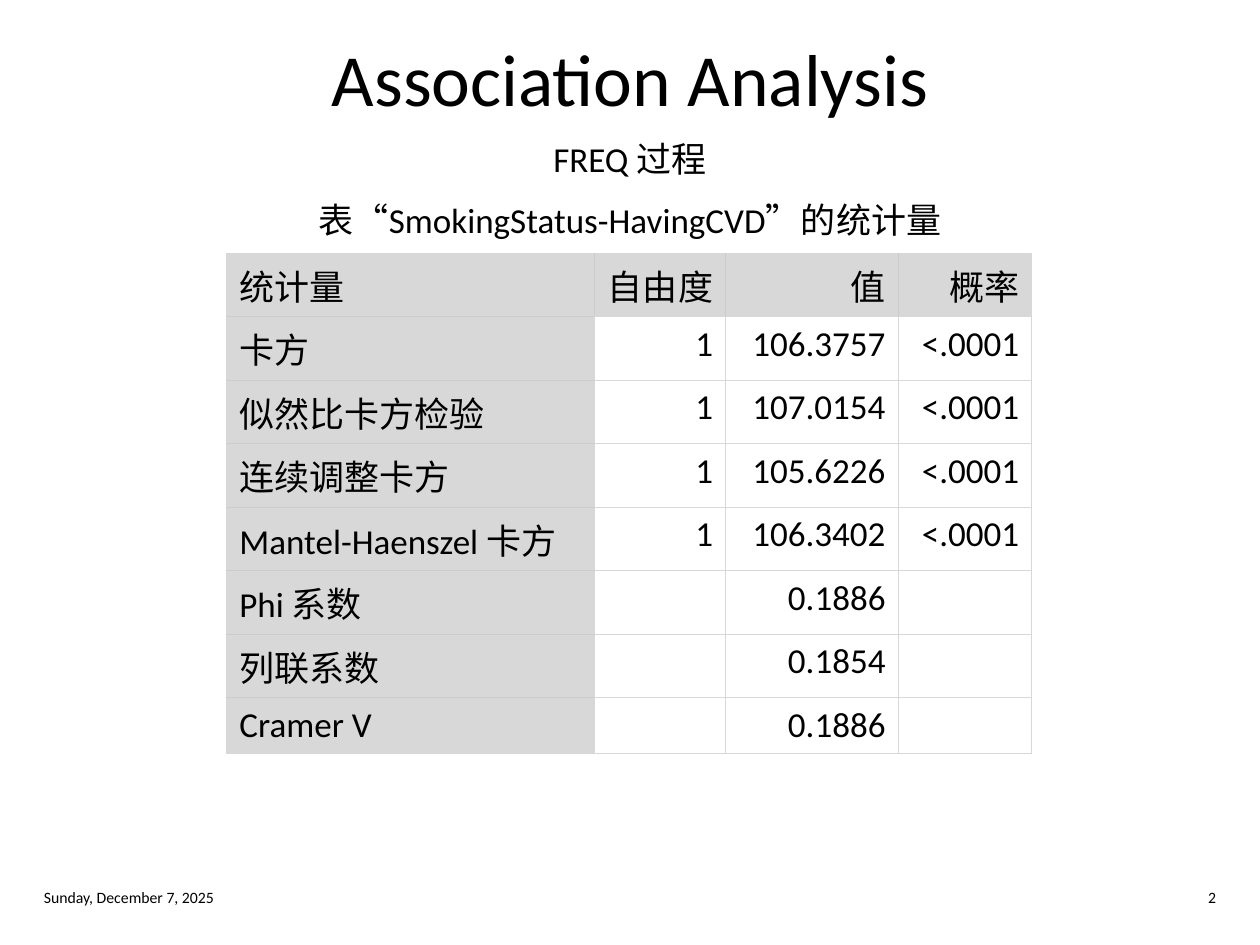
import pptx
import pptx.util
import pptx.dml.color
import pptx.enum.text
import pptx.oxml
import pptx.oxml.ns

Inches = pptx.util.Inches
Align = pptx.enum.text.PP_ALIGN
Anchor = pptx.enum.text.MSO_ANCHOR

THEME = {
    "font": "Calibri", "text": "000000", "shade": "D8D8D8",
    "shade_edge": "CCCCCC", "body_edge": "D8D8D8", "edge_width": 0.5,
    "title": 42, "body": 20, "footer": 9,
}
WIDTH, HEIGHT = 10, 7.5
MARGIN = WIDTH * 0.025
FULL = WIDTH - 2 * MARGIN
FOOTER_WIDTH, FOOTER_TOP = 2.38, 6.99
SUBTITLE_WIDTH = 5.56

TEXTS = [
    ("Association Analysis", (MARGIN, 0.25, FULL, 0.72), "title", Align.CENTER, Anchor.MIDDLE),
    ("FREQ 过程", (MARGIN, 1.04, FULL, 0.42), "body", Align.CENTER, Anchor.TOP),
    ("表“SmokingStatus-HavingCVD”的统计量",
     ((WIDTH - SUBTITLE_WIDTH) / 2, 1.53, SUBTITLE_WIDTH, 0.42), "body", Align.CENTER, Anchor.TOP),
    ("Sunday, December 7, 2025",
     (MARGIN, FOOTER_TOP, FOOTER_WIDTH, 0.26), "footer", Align.LEFT, Anchor.MIDDLE),
    ("2", (WIDTH - MARGIN - FOOTER_WIDTH, FOOTER_TOP, FOOTER_WIDTH, 0.26),
     "footer", Align.RIGHT, Anchor.MIDDLE),
]
STATISTICS = [
    ("统计量", "自由度", "值", "概率"),
    ("卡方", "1", "106.3757", "<.0001"),
    ("似然比卡方检验", "1", "107.0154", "<.0001"),
    ("连续调整卡方", "1", "105.6226", "<.0001"),
    ("Mantel-Haenszel 卡方", "1", "106.3402", "<.0001"),
    ("Phi 系数", "", "0.1886", ""),
    ("列联系数", "", "0.1854", ""),
    ("Cramer V", "", "0.1886", ""),
]
COLUMNS = [2.92, 1.04, 1.37, 1.06]
TABLE_LEFT, TABLE_TOP = 1.8, 2.01
LAST_ROW = 0.44
TALL_ROW = 3.53 / (len(STATISTICS) - 1)
ROWS = [TALL_ROW] * (len(STATISTICS) - 1) + [LAST_ROW]
SIDES = {"lnL": (0, -1), "lnR": (0, 1), "lnT": (-1, 0), "lnB": (1, 0)}


def write(frame, text, size, align):
    frame.text = text
    para = frame.paragraphs[0]
    para.alignment = align
    for span in para.runs:
        span.font.name = THEME["font"]
        span.font.size = pptx.util.Pt(THEME[size])
        span.font.color.rgb = pptx.dml.color.RGBColor.from_string(THEME["text"])


def add_text(page, text, area, size, align, anchor):
    box = page.shapes.add_textbox(*map(Inches, area))
    box.text_frame.word_wrap = True
    box.text_frame.vertical_anchor = anchor
    write(box.text_frame, text, size, align)


def add_edge(cell, side, color):
    width = pptx.util.Pt(THEME["edge_width"])
    cell._tc.get_or_add_tcPr().append(pptx.oxml.parse_xml(
        f'<a:{side} {pptx.oxml.ns.nsdecls("a")} w="{width}"><a:solidFill>'
        f'<a:srgbClr val="{color}"/></a:solidFill></a:{side}>'))


def add_statistics(page):
    table = page.shapes.add_table(
        len(ROWS), len(COLUMNS), Inches(TABLE_LEFT), Inches(TABLE_TOP),
        Inches(sum(COLUMNS)), Inches(sum(ROWS))).table
    table.first_row = table.horz_banding = False
    for column, width in zip(table.columns, COLUMNS):
        column.width = Inches(width)
    for r, record in enumerate(STATISTICS):
        table.rows[r].height = Inches(ROWS[r])
        for c, text in enumerate(record):
            cell = table.cell(r, c)
            shaded = r == 0 or c == 0
            write(cell.text_frame, text, "body", Align.RIGHT if c else Align.LEFT)
            cell.vertical_anchor = Anchor.TOP if r else Anchor.BOTTOM
            for side, (down, across) in SIDES.items():
                inside = 0 <= r + down < len(ROWS) and 0 <= c + across < len(COLUMNS)
                add_edge(cell, side, THEME["shade_edge" if shaded and inside else "body_edge"])
            if shaded:
                cell.fill.solid()
                cell.fill.fore_color.rgb = pptx.dml.color.RGBColor.from_string(THEME["shade"])
            else:
                cell.fill.background()


def main():
    deck = pptx.Presentation()
    deck.slide_width, deck.slide_height = Inches(WIDTH), Inches(HEIGHT)
    page = deck.slides.add_slide(deck.slide_layouts[6])
    for item in TEXTS:
        add_text(page, *item)
    add_statistics(page)
    deck.save("out.pptx")


if __name__ == "__main__":
    main()
